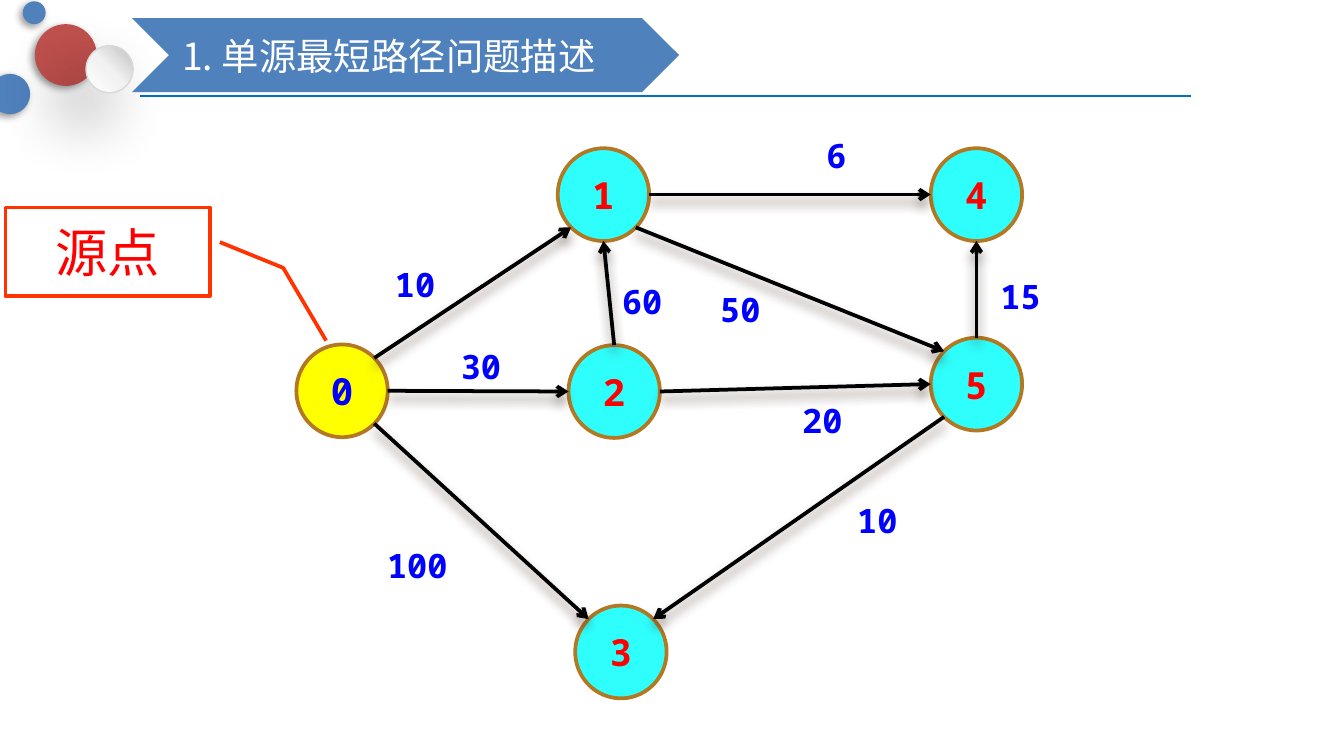
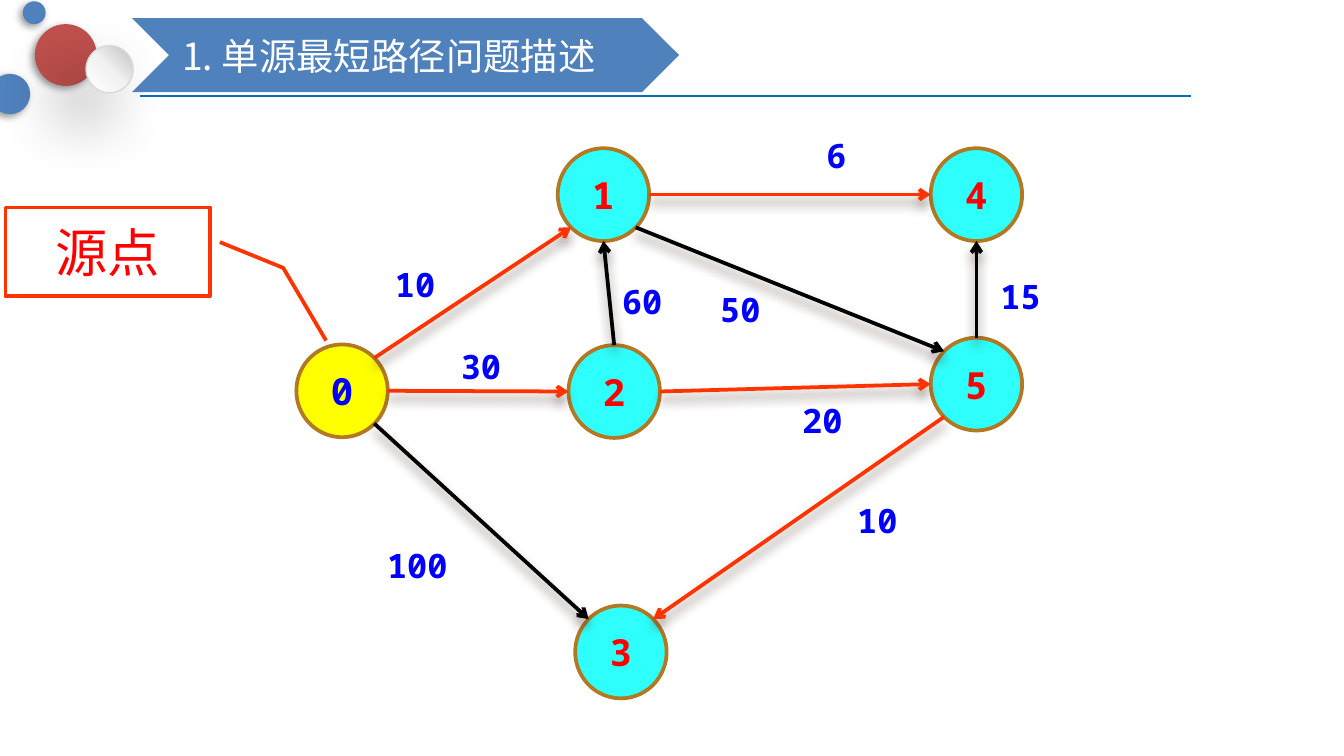
from copy import deepcopy
from math import cos, radians, sin
from typing import NamedTuple

from lxml.etree import SubElement
from pptx import Presentation
from pptx.dml.color import RGBColor
from pptx.enum.shapes import MSO_CONNECTOR, MSO_SHAPE
from pptx.enum.text import MSO_ANCHOR, MSO_AUTO_SIZE, PP_ALIGN
from pptx.oxml.ns import qn
from pptx.util import Inches, Pt

COLORS = {
    "white": "FFFFFF", "black": "000000", "blue": "4F81BD", "brick": "C0504D",
    "rule": "0070C0", "pearl": "F2F2F2", "silver": "BFBFBF", "rim": "D9D9D9",
    "orange": "FF3300", "red": "FF0000", "ink": "0000FF", "yellow": "FFFF00",
    "cyan": "2EFFFC", "bronze": "B27822", "umber": "4E3B30",
}
CELL = Inches(0.1)
COLUMNS, ROWS = 100, 56.25
MONO, HAN, LATIN = "Noto Sans Mono", "Noto Sans CJK SC", "Calibri"
NODE_WIDTH, NODE_HEIGHT = 6.8, 6.9
COMPASS = {"E": 0, "SE": 45, "S": 90, "SW": 135, "W": 180, "NW": 225, "N": 270, "NE": 315}

NODES = {0: (0.05, 16.6), 1: (19.5, 2), 2: (20.3, 16.65),
         3: (20.8, 36.03), 4: (47.25, 2), 5: (47.25, 16.1)}
EDGES = [
    (0, "NE", 1, "SW", "10", (6.4, 10.1)),
    (0, "SE", 3, "NW", "100", (6.8, 31.05)),
    (0, "E", 2, "W", "30", (11.3, 16.2)),
    (1, "SE", 5, "NW", "50", (30.6, 11.95)),
    (2, "E", 5, "W", "20", (36.7, 20.25)),
    (5, "SW", 3, "NE", "10", (40.8, 27.7)),
    (1, "E", 4, "W", "6", (38.5, 0.55)),
    (5, "N", 4, "S", "15", (51.45, 11)),
    (2, "N", 1, "S", "60", (23.3, 11.35)),
]
SHORTEST_PATHS = {(0, 1), (0, 2), (2, 5), (5, 3), (1, 4)}


class Box(NamedTuple):
    """A rectangle in grid columns and rows."""
    left: float
    top: float
    width: float
    height: float

    def inner(self, left, top, width, height):
        """Return a box placed relative to this one."""
        return Box(self.left + left, self.top + top, width, height)

    def emu(self):
        """Return the rectangle in slide units."""
        return [round(length * CELL) for length in self]


def color(name):
    """Look up a palette colour."""
    return RGBColor.from_string(COLORS[name])


def write(frame, text, font, size, ink, align=PP_ALIGN.CENTER, bold=False):
    """Fill a text frame with one styled paragraph."""
    frame.word_wrap = True
    para = frame.paragraphs[0]
    para.text = text
    para.alignment = align
    para.font.name = font
    para.font.size = Pt(size)
    para.font.bold = bold
    para.font.color.rgb = color(ink)


def add_figure(page, kind, box, fill, line=None, weight=2):
    """Add a flat preset shape with an optional outline."""
    figure = page.shapes.add_shape(kind, *box.emu())
    figure.shadow.inherit = False
    figure.fill.solid()
    figure.fill.fore_color.rgb = color(fill)
    if line:
        figure.line.color.rgb = color(line)
        figure.line.width = Pt(weight)
    else:
        figure.line.fill.background()
    figure.text_frame.vertical_anchor = MSO_ANCHOR.MIDDLE
    return figure


def add_line(page, start, end, ink, weight):
    """Add a straight line without a shadow between two grid points."""
    ends = [round(length * CELL) for length in (*start, *end)]
    line = page.shapes.add_connector(MSO_CONNECTOR.STRAIGHT, *ends)
    line.line.color.rgb = color(ink)
    line.line.width = Pt(weight)
    SubElement(line._element.spPr, qn("a:effectLst"))
    return line


def cast_shadow(item, ink, opacity, blur, distance, angle):
    """Give a shape or line an outer shadow."""
    effects = item._element.spPr.find(qn("a:effectLst"))
    shadow = SubElement(effects, qn("a:outerShdw"), blurRad=str(Pt(blur)),
                        dist=str(Pt(distance)), dir=str(angle * 60000),
                        algn="ctr", rotWithShape="0")
    tint = SubElement(shadow, qn("a:srgbClr"), val=COLORS[ink])
    SubElement(tint, qn("a:alpha"), val=str(opacity * 1000))


def shade_pearl(bubble):
    """Apply the three-stop pearl gradient to a bubble."""
    bubble.fill.gradient()
    bubble.fill.gradient_angle = 45
    stops = bubble._element.spPr.find(".//" + qn("a:gsLst"))
    stops.insert(1, deepcopy(stops[0]))
    for index, name in enumerate(("white", "pearl", "silver")):
        stop = bubble.fill.gradient_stops[index]
        stop.color.rgb = color(name)
        stop.position = index / 2


def draw_header(page, box, title):
    """Draw the rule, the bubbles and the title chevron."""
    rule_top = box.top + 7.15
    add_line(page, (box.left + 10.4, rule_top), (box.left + 88.6, rule_top), "rule", 1.25)
    bubbles = [(2.6, 1.8, 4.6, "brick"), (-0.75, 5.5, 3, "blue"),
               (6.4, 3.4, 3.5, "white"), (1.7, 0.1, 1.7, "blue")]
    for left, top, size, fill in bubbles:
        pearl = fill == "white"
        bubble = add_figure(page, MSO_SHAPE.OVAL, box.inner(left, top, size, size),
                            fill, "rim" if pearl else None, 0.75)
        if pearl:
            shade_pearl(bubble)
        blur, distance = (35, 20) if pearl else (4, 2)
        cast_shadow(bubble, "black", 40, blur, distance, 135)
    chevron = add_figure(page, MSO_SHAPE.CHEVRON, box.inner(9.83, 1.35, 40.7, 5.5), "blue")
    write(chevron.text_frame, title, HAN, 20, "white", PP_ALIGN.LEFT)


def draw_callout(page, box, text):
    """Draw the bordered callout that points at the source node."""
    callout = add_figure(page, MSO_SHAPE.LINE_CALLOUT_2, box, "white", "orange")
    for index, share in enumerate((0.39, 1.05, 0.68, 1.36, 1.5, 1.57)):
        callout.adjustments[index] = share
    write(callout.text_frame, text, LATIN, 28, "red")


def node_box(box, node):
    """Return the box of a graph node."""
    return box.inner(*NODES[node], NODE_WIDTH, NODE_HEIGHT)


def rim_point(box, node, side):
    """Return the point on a node's rim in a compass direction."""
    left, top, width, height = node_box(box, node)
    angle = radians(COMPASS[side])
    return left + width / 2 * (1 + cos(angle)), top + height / 2 * (1 + sin(angle))


def draw_edge(page, start, end, ink):
    """Draw a shadowed arrow between two rim points."""
    arrow = add_line(page, start, end, ink, 2)
    SubElement(arrow.line._get_or_add_ln(), qn("a:tailEnd"), type="arrow")
    cast_shadow(arrow, "umber", 60, 6, 4, 90)


def draw_weight(page, box, text):
    """Write the weight of an edge."""
    label = page.shapes.add_textbox(*box.emu())
    frame = label.text_frame
    frame.auto_size = MSO_AUTO_SIZE.SHAPE_TO_FIT_TEXT
    if len(text) > 2:
        frame.margin_left = frame.margin_right = 0
    write(frame, text, MONO, 18, "ink", PP_ALIGN.LEFT, bold=True)


def draw_graph(page, box, highlighted):
    """Draw the weighted graph with the highlighted edges in orange."""
    for node in NODES:
        source = node == 0
        circle = add_figure(page, MSO_SHAPE.OVAL, node_box(box, node),
                            "yellow" if source else "cyan", "bronze")
        write(circle.text_frame, str(node), MONO, 20, "ink" if source else "red", bold=True)
    for tail, tail_side, head, head_side, weight, spot in EDGES:
        draw_edge(page, rim_point(box, tail, tail_side), rim_point(box, head, head_side),
                  "orange" if (tail, head) in highlighted else "black")
        draw_weight(page, box.inner(*spot, 6 if len(weight) == 1 else 7.9, 4), weight)


def draw_page(deck, highlighted):
    """Add one slide of the shortest path description."""
    page = deck.slides.add_slide(deck.slide_layouts[6])
    whole = Box(0, 0, COLUMNS, ROWS)
    draw_header(page, whole.inner(0, 0, COLUMNS, 8), "1. 单源最短路径问题描述")
    draw_callout(page, whole.inner(0.4, 15.45, 15.2, 6.6), "源点")
    draw_graph(page, whole.inner(22, 9.03, 60, 44), highlighted)


def main():
    """Build the deck and save it."""
    deck = Presentation()
    deck.slide_width = round(COLUMNS * CELL)
    deck.slide_height = round(ROWS * CELL)
    for highlighted in (set(), SHORTEST_PATHS):
        draw_page(deck, highlighted)
    deck.save("out.pptx")


if __name__ == "__main__":
    main()
